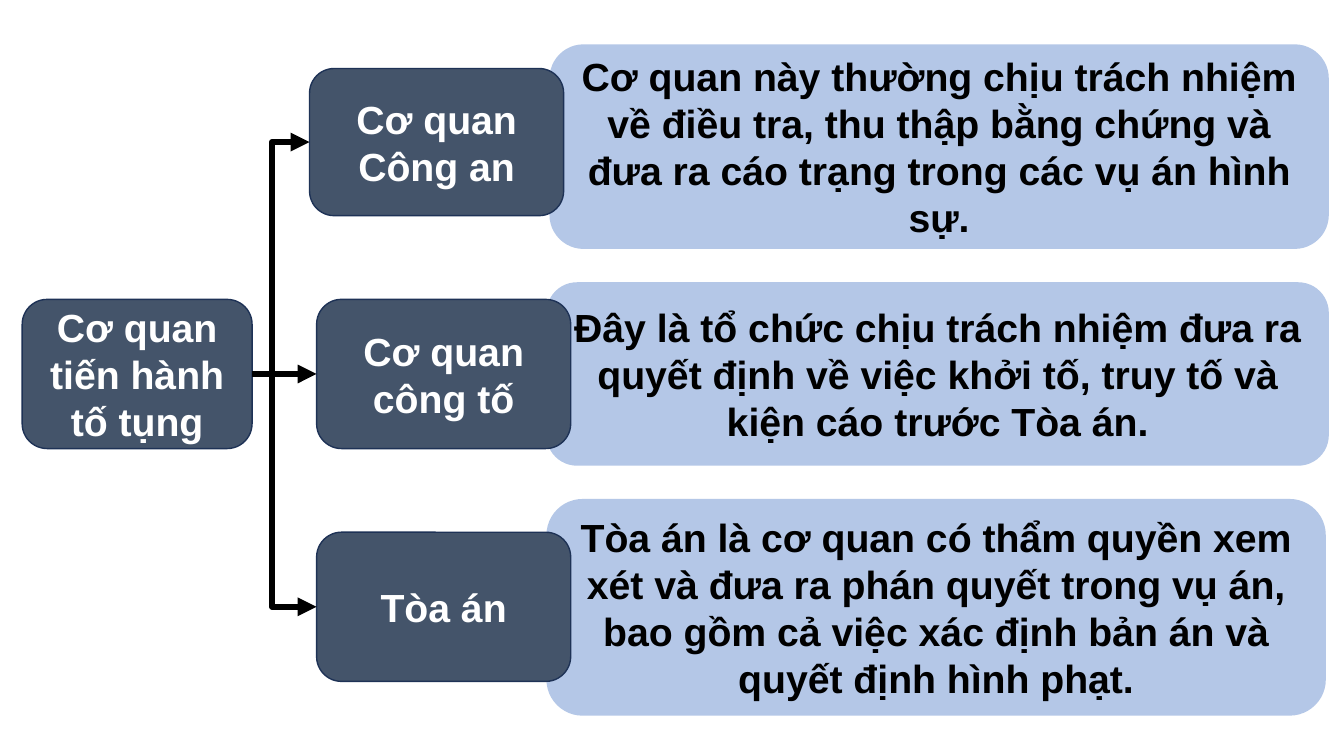
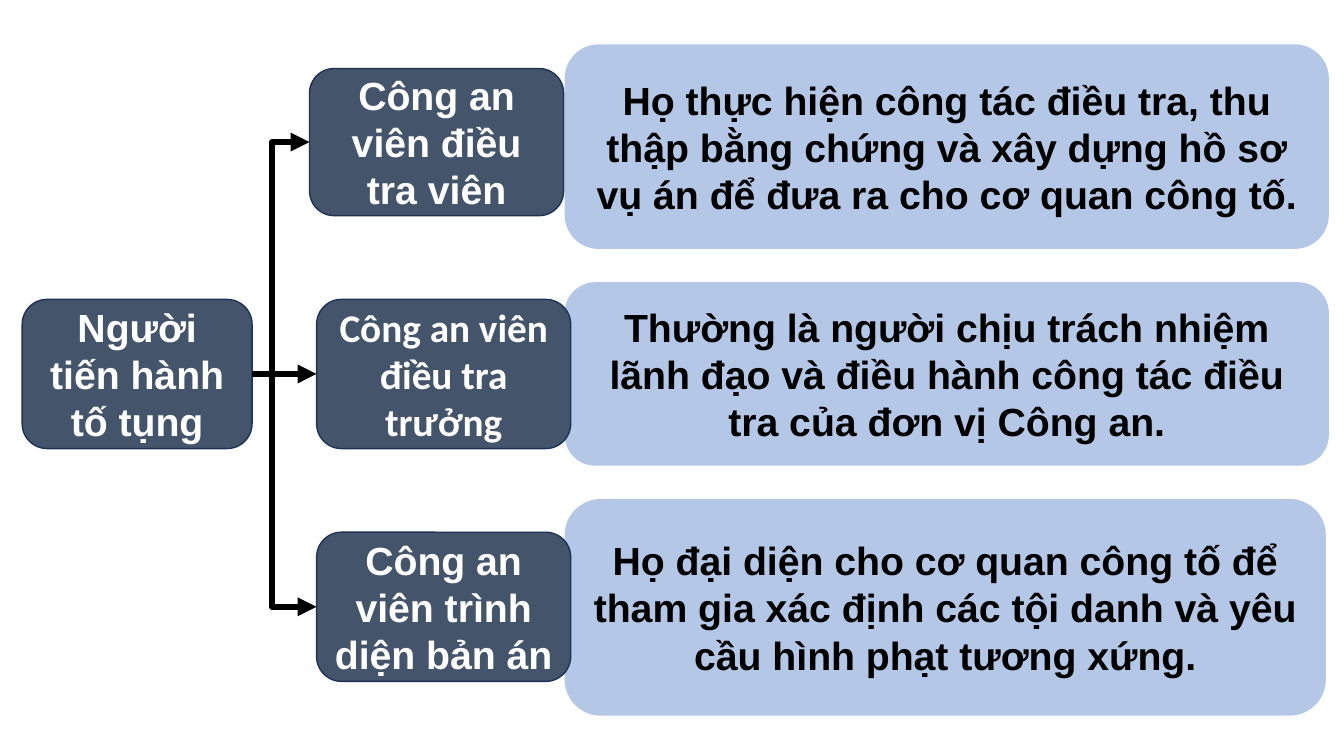
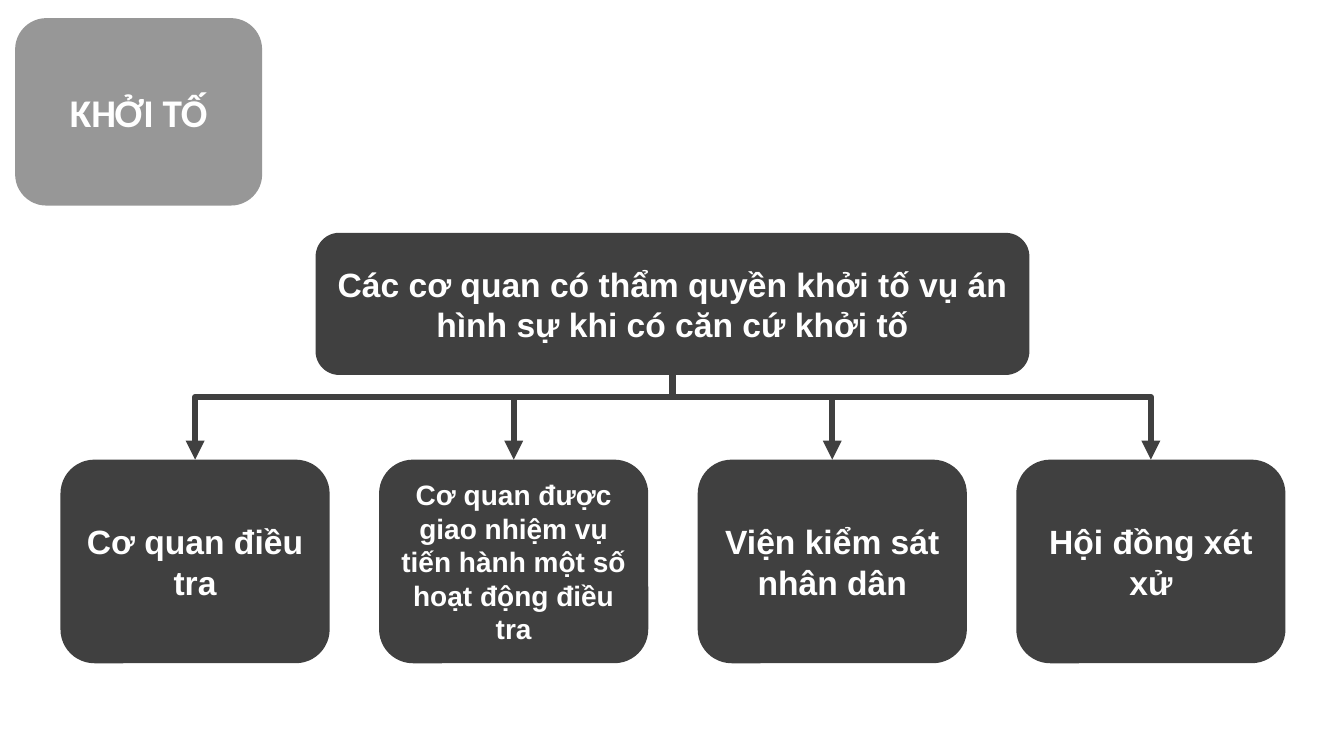
from dataclasses import dataclass

from lxml import etree
from pptx import Presentation
from pptx.dml.color import RGBColor
from pptx.enum.shapes import MSO_CONNECTOR, MSO_SHAPE
from pptx.enum.text import MSO_ANCHOR, PP_ALIGN
from pptx.oxml.ns import qn
from pptx.util import Pt

EMU_PER_PX = 9144  # 100 px to the inch
TOP, LEFT, BOTTOM, RIGHT = range(4)  # connection sites of a rounded box


@dataclass(frozen=True)
class Theme:
    navy: str = "44546A"
    navy_edge: str = "1E3256"
    pale_blue: str = "B4C7E7"
    charcoal: str = "404040"
    grey: str = "979797"
    white: str = "FFFFFF"
    black: str = "000000"
    font: str = "Arial"
    alternate_font: str = "Calibri"
    large: int = 28
    medium: int = 24
    small: int = 20
    edge_width: float = 1
    arrow_width: float = 4.5


THEME = Theme()


@dataclass(frozen=True)
class BoxStyle:
    preset: MSO_SHAPE
    fill: str
    color: str
    size: int
    edge: str = ""
    font: str = THEME.font


ROLE = BoxStyle(MSO_SHAPE.FLOWCHART_ALTERNATE_PROCESS, THEME.navy, THEME.white,
                THEME.large, THEME.navy_edge)
ROLE_ALTERNATE = BoxStyle(MSO_SHAPE.FLOWCHART_ALTERNATE_PROCESS, THEME.navy, THEME.white,
                          THEME.large, THEME.navy_edge, THEME.alternate_font)
DETAIL = BoxStyle(MSO_SHAPE.FLOWCHART_ALTERNATE_PROCESS, THEME.pale_blue, THEME.black,
                  THEME.large)
STAGE = BoxStyle(MSO_SHAPE.ROUNDED_RECTANGLE, THEME.grey, THEME.white,
                 THEME.large, font=THEME.alternate_font)
AGENCY = BoxStyle(MSO_SHAPE.ROUNDED_RECTANGLE, THEME.charcoal, THEME.white, THEME.medium)
AGENCY_SMALL = BoxStyle(MSO_SHAPE.ROUNDED_RECTANGLE, THEME.charcoal, THEME.white, THEME.small)

HUB_BOX = (22, 297, 228, 148)
ROLE_BOXES = [(307, 68, 252, 146), (314, 297, 252, 148), (314, 528, 252, 148)]
DETAIL_SPANS = [(44, 203, 1318), (280, 182, 1318), (495, 215, 1315)]  # top, height, right
TRUNK_OFFSET = 20
BRANCH_DROP = 22


def px(length):
    return int(length * EMU_PER_PX)


def add_box(slide, bounds, text, style):
    shape = slide.shapes.add_shape(style.preset, *map(px, bounds))
    shape.shadow.inherit = False
    shape.fill.solid()
    shape.fill.fore_color.rgb = RGBColor.from_string(style.fill)
    if style.edge:
        shape.line.color.rgb = RGBColor.from_string(style.edge)
        shape.line.width = Pt(THEME.edge_width)
    else:
        shape.line.fill.background()
    frame = shape.text_frame
    frame.word_wrap = True
    frame.vertical_anchor = MSO_ANCHOR.MIDDLE
    paragraph = frame.paragraphs[0]
    paragraph.alignment = PP_ALIGN.CENTER
    run = paragraph.add_run()
    run.text = text
    run.font.name = style.font
    run.font.size = Pt(style.size)
    run.font.bold = True
    run.font.color.rgb = RGBColor.from_string(style.color)
    return shape


def add_elbow(slide, source, source_site, target, target_site, color):
    """Glue an elbow arrow between the given sites of two boxes."""
    connector = slide.shapes.add_connector(MSO_CONNECTOR.ELBOW, 0, 0, 0, 0)
    connector.begin_connect(source, source_site)
    connector.end_connect(target, target_site)
    connector.line.color.rgb = RGBColor.from_string(color)
    connector.line.width = Pt(THEME.arrow_width)
    properties = connector._element.spPr
    line = properties.find(qn("a:ln"))
    etree.SubElement(line, qn("a:tailEnd"), type="triangle")
    etree.SubElement(properties, qn("a:effectLst"))
    return connector


def set_bend(connector, offset, length):
    """Put the bend at an offset along the arrow's main direction."""
    geometry = connector._element.spPr.find(qn("a:prstGeom"))
    adjustments = geometry.find(qn("a:avLst"))
    if adjustments is None:
        adjustments = etree.SubElement(geometry, qn("a:avLst"))
    ratio = round(100000 * offset / length)
    etree.SubElement(adjustments, qn("a:gd"), name="adj1", fmla=f"val {ratio}")


def add_arrow_right(slide, source, target):
    connector = add_elbow(slide, source, RIGHT, target, LEFT, THEME.black)
    set_bend(connector, px(TRUNK_OFFSET), connector.width)


def add_arrow_down(slide, source, target):
    """Turn the elbow a quarter so that it leaves and arrives vertically."""
    connector = add_elbow(slide, source, BOTTOM, target, TOP, THEME.charcoal)
    start_x, start_y = connector.begin_x, connector.begin_y
    end_x, end_y = connector.end_x, connector.end_y
    drop, reach = end_y - start_y, abs(end_x - start_x)
    goes_left = end_x < start_x
    half_drop = drop // 2 if goes_left else -drop // 2
    center_x, center_y = (start_x + end_x) // 2, (start_y + end_y) // 2
    connector.begin_x, connector.end_x = center_x - half_drop, center_x + half_drop
    connector.begin_y, connector.end_y = center_y - reach // 2, center_y + reach // 2
    transform = connector._element.spPr.find(qn("a:xfrm"))
    transform.set("rot", str((90 if goes_left else 270) * 60000))
    set_bend(connector, px(BRANCH_DROP), drop)


def add_role_slide(presentation, hub_text, rows):
    """Rows hold the role, its style, the detail and the detail's left edge."""
    slide = add_blank_slide(presentation)
    for (_, _, detail, left), (top, height, right) in zip(rows, DETAIL_SPANS):
        add_box(slide, (left, top, right - left, height), detail, DETAIL)
    hub = add_box(slide, HUB_BOX, hub_text, ROLE)
    for (role, style, _, _), bounds in zip(rows, ROLE_BOXES):
        add_arrow_right(slide, hub, add_box(slide, bounds, role, style))


def add_agency_slide(presentation, stage, heading, agencies):
    slide = add_blank_slide(presentation)
    add_box(slide, (15, 18, 245, 186), stage, STAGE)
    hub = add_box(slide, (313, 231, 708, 141), heading, AGENCY)
    for index, (agency, style) in enumerate(agencies):
        box = add_box(slide, (60 + 316 * index, 456, 267, 202), agency, style)
        add_arrow_down(slide, hub, box)


def add_blank_slide(presentation):
    return presentation.slides.add_slide(presentation.slide_layouts[6])


def main():
    presentation = Presentation()
    presentation.slide_width, presentation.slide_height = px(1333), px(750)
    add_role_slide(presentation, "Cơ quan tiến hành tố tụng", [
        ("Cơ quan Công an", ROLE,
         "Cơ quan này thường chịu trách nhiệm về điều tra, thu thập bằng chứng "
         "và đưa ra cáo trạng trong các vụ án hình sự.", 545),
        ("Cơ quan công tố", ROLE,
         "Đây là tổ chức chịu trách nhiệm đưa ra quyết định về việc khởi tố, "
         "truy tố và kiện cáo trước Tòa án.", 542),
        ("Tòa án", ROLE,
         "Tòa án là cơ quan có thẩm quyền xem xét và đưa ra phán quyết trong vụ án, "
         "bao gồm cả việc xác định bản án và quyết định hình phạt.", 542),
    ])
    add_role_slide(presentation, "Người tiến hành tố tụng", [
        ("Công an viên điều tra viên", ROLE,
         "Họ thực hiện công tác điều tra, thu thập bằng chứng và xây dựng hồ sơ "
         "vụ án để đưa ra cho cơ quan công tố.", 560),
        ("Công an viên điều tra trưởng", ROLE_ALTERNATE,
         "Thường là người chịu trách nhiệm lãnh đạo và điều hành công tác điều tra "
         "của đơn vị Công an.", 560),
        ("Công an viên trình diện bản án", ROLE,
         "Họ đại diện cho cơ quan công tố để tham gia xác định các tội danh "
         "và yêu cầu hình phạt tương xứng.", 560),
    ])
    add_agency_slide(
        presentation, "KHỞI TỐ",
        "Các cơ quan có thẩm quyền khởi tố vụ án hình sự khi có căn cứ khởi tố", [
            ("Cơ quan điều tra", AGENCY),
            ("Cơ quan được giao nhiệm vụ tiến hành một số hoạt động điều tra", AGENCY_SMALL),
            ("Viện kiểm sát nhân dân", AGENCY),
            ("Hội đồng xét xử", AGENCY),
        ])
    presentation.save("out.pptx")


if __name__ == "__main__":
    main()
